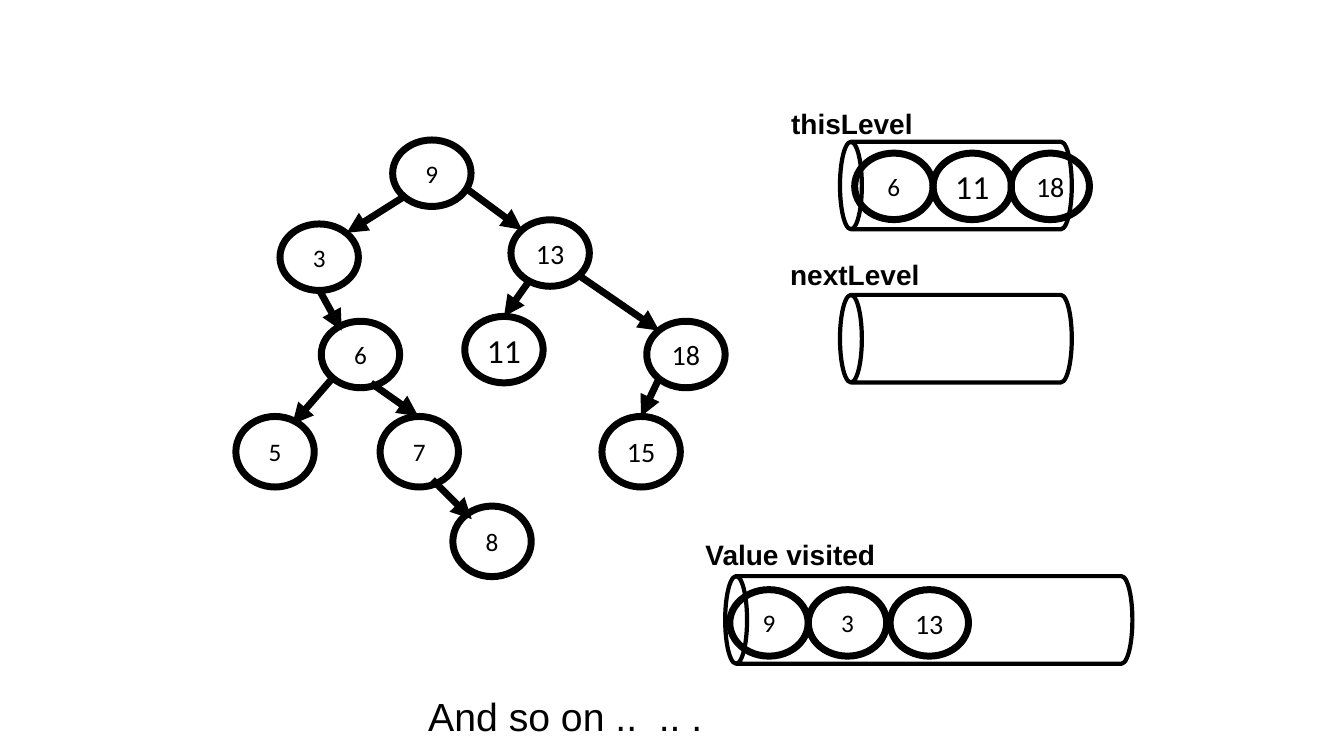
from lxml import etree
from pptx import Presentation
from pptx.dml.color import RGBColor
from pptx.enum import shapes, text
from pptx.oxml import ns
from pptx.util import Pt

BLACK = RGBColor(0, 0, 0)
NODE_WIDTH, NODE_HEIGHT, DEEP_HEIGHT = 56, 47.5, 50.4
NODE_SIZES = {"11": 24, "13": 20, "15": 20, "18": 20}  # all others 18

# Value: left, top, height within the tree box
TREE_NODES = {
    "9": (112.5, 0, NODE_HEIGHT),
    "3": (32, 60, NODE_HEIGHT),
    "13": (197, 57, NODE_HEIGHT),
    "6": (61.5, 129.5, NODE_HEIGHT),
    "11": (164, 126, NODE_HEIGHT),
    "18": (294, 129.5, NODE_HEIGHT),
    "5": (0.5, 197.5, DEEP_HEIGHT),
    "7": (103.5, 197.5, DEEP_HEIGHT),
    "15": (262, 197.5, DEEP_HEIGHT),
    "8": (155.5, 261.5, DEEP_HEIGHT),
}
# Start x, start y, end x, end y within the tree box
TREE_ARROWS = [
    (120.7, 40.4, 79.7, 66.3),    # 9 to 3
    (166.1, 35.4, 205, 64.2),     # 9 to 13
    (60.2, 107.4, 76.1, 136.2),   # 3 to 6
    (209.3, 101.6, 192, 126.1),   # 13 to 11
    (245.3, 96.6, 302.9, 136.2),  # 13 to 18
    (69.6, 170, 40.8, 203.1),     # 6 to 5
    (97, 173.6, 130.8, 197.4),    # 6 to 7
    (302.9, 170, 289.9, 197.4),   # 18 to 15
    (140.9, 242.7, 169, 270.8),   # 7 to 8
]


def add_span(para, words, size, font, bold=False):
    """Add one black run to a paragraph."""
    span = para.add_run()
    span.text = words
    span.font.size, span.font.name, span.font.bold = Pt(size), font, bold
    span.font.color.rgb = BLACK


def add_outline(page, kind, box, weight):
    """Add an unfilled preset shape with a black outline."""
    shape = page.shapes.add_shape(kind, *map(Pt, box))
    shape.shadow.inherit = False
    shape.fill.background()
    shape.line.color.rgb = BLACK
    shape.line.width = Pt(weight)
    return shape


def add_node(page, value, left, top, height=NODE_HEIGHT):
    """Add a circled value."""
    node = add_outline(page, shapes.MSO_SHAPE.OVAL,
                       (left, top, NODE_WIDTH, height), 5)
    frame = node.text_frame
    frame.word_wrap = False
    frame.vertical_anchor = text.MSO_ANCHOR.MIDDLE
    para = frame.paragraphs[0]
    para.alignment = text.PP_ALIGN.CENTER
    add_span(para, value, NODE_SIZES.get(value, 18), "Calibri")


def add_arrow(page, start_x, start_y, end_x, end_y):
    """Add a thick arrow with a triangle at its end."""
    arrow = page.shapes.add_connector(
        shapes.MSO_CONNECTOR.STRAIGHT, *map(Pt, (start_x, start_y, end_x, end_y)))
    arrow.line.color.rgb = BLACK
    arrow.line.width = Pt(5)
    etree.SubElement(arrow.line._get_or_add_ln(), ns.qn("a:tailEnd"), type="triangle")
    etree.SubElement(arrow._element.spPr, ns.qn("a:effectLst"))


def add_label(page, words, box, size, bold=False):
    """Add a line of Arial text."""
    frame = page.shapes.add_textbox(*map(Pt, box)).text_frame
    frame.word_wrap = True
    add_span(frame.paragraphs[0], words, size, "Arial", bold)


def add_tree(page, left, top):
    """Place the binary tree with its corner at left, top."""
    for value, (x, y, height) in TREE_NODES.items():
        add_node(page, value, left + x, top + y, height)
    for x1, y1, x2, y2 in TREE_ARROWS:
        add_arrow(page, left + x1, top + y1, left + x2, top + y2)


def add_queue(page, name, box, label_box, nodes=(), node_top=0):
    """Place a lying can, its name and its values relative to box."""
    left, top, width, height = box
    # The can is drawn upright around the same centre, then turned
    shift = (width - height) / 2
    can = add_outline(page, shapes.MSO_SHAPE.CAN,
                      (left + shift, top - shift, height, width), 3)
    can.rotation = 270
    x, y, label_width = label_box
    add_label(page, name, (left + x, top + y, label_width, 31.5), 20, True)
    for value, offset in nodes:
        add_node(page, value, left + offset, top + node_top)


deck = Presentation()
deck.slide_width, deck.slide_height = Pt(960), Pt(540)
page = deck.slides.add_slide(deck.slide_layouts[6])

add_tree(page, 168, 100)
add_queue(page, "thisLevel", (600, 101.2, 165.6, 62.6), (-42, -28.5, 109.5),
          [("6", 10.5), ("11", 66.5), ("18", 122.2)], 8.2)
add_queue(page, "nextLevel", (600, 210.6, 165.6, 62.6), (-42.7, -30, 109.5))
add_queue(page, "Value visited", (518, 411.5, 290.9, 62.6), (-21.2, -31.3, 160.5),
          [("9", 3.3), ("3", 59.4), ("13", 117.8)], 9.7)
add_label(page, "And so on ..  .. .", (298.8, 491, 337, 41), 28)

deck.save("out.pptx")
